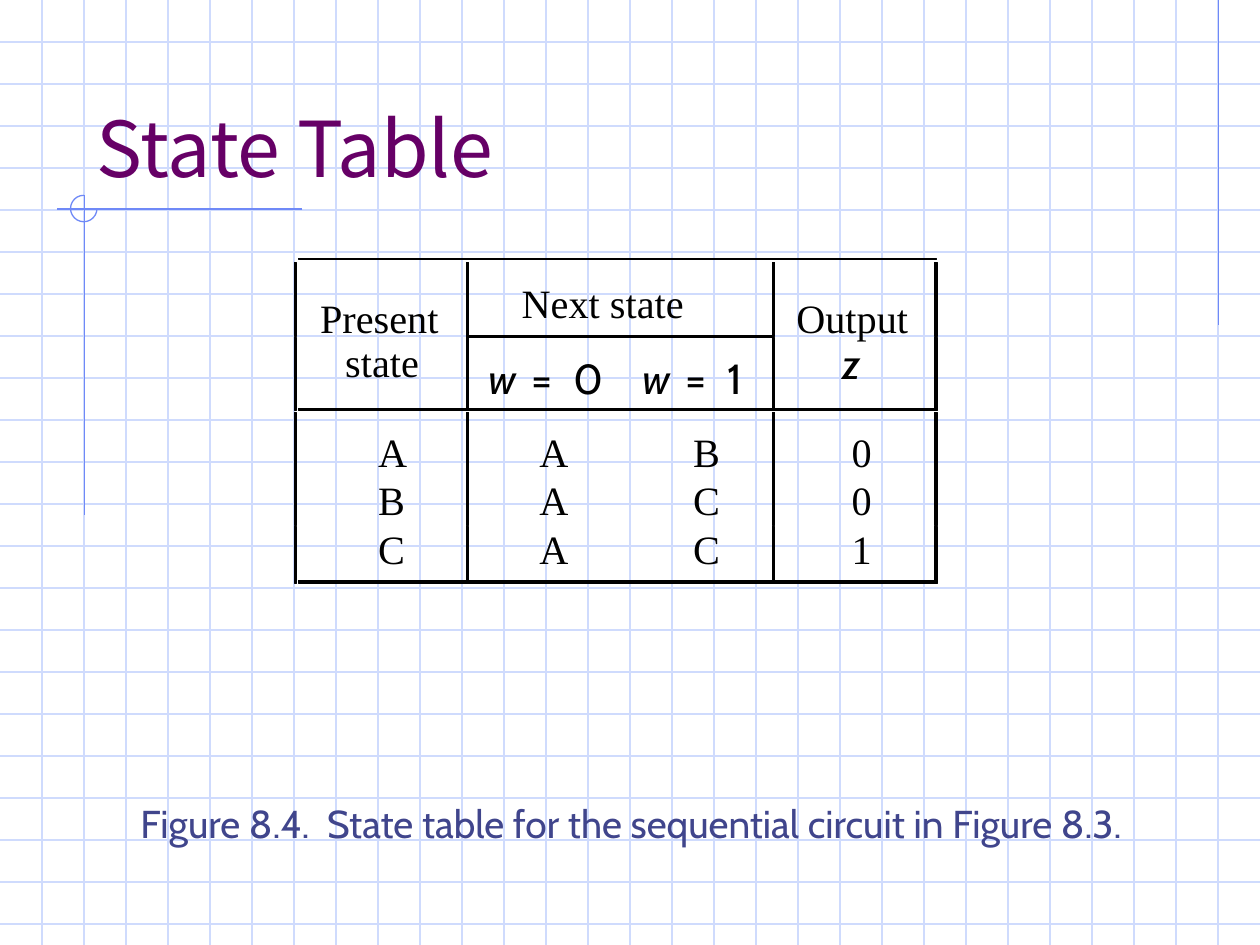
"""Build the State Table slide on a squared-paper background."""
from typing import NamedTuple

from lxml.etree import SubElement
from pptx import Presentation
from pptx.dml.color import RGBColor
from pptx.enum.shapes import MSO_CONNECTOR as Connector, MSO_SHAPE as Shape
from pptx.enum.text import MSO_ANCHOR as Anchor, PP_ALIGN as Align
from pptx.oxml.ns import qn
from pptx.slide import Slide
from pptx.util import Inches, Pt

GRID_BLUE = RGBColor(0xCF, 0xDB, 0xFD)
ACCENT_BLUE = RGBColor(0x6F, 0x89, 0xF7)
CAPTION_BLUE = RGBColor(0x40, 0x45, 0x8C)
PURPLE = RGBColor(0x66, 0x00, 0x66)
BLACK = RGBColor(0, 0, 0)

WIDTH, HEIGHT = 10, 7.5
SQUARES_PER_INCH = 3
SERIF, SANS, TITLE_FONT = "Times New Roman", "Cabin", "Noto Sans CJK KR"


class Area(NamedTuple):
    left: float
    top: float
    width: float
    height: float


class Style(NamedTuple):
    font: str
    size: float
    color: RGBColor = BLACK
    italic: bool = False


class Label(NamedTuple):
    text: str
    area: Area
    style: Style


WORD = Style(SERIF, 23)
SYMBOL = Style(SANS, 24)
VARIABLE = Style(SANS, 24, italic=True)

HEADINGS = [
    Label("Present", Area(2.54, 2.33, 1.24, 0.38), WORD),
    Label("state", Area(2.74, 2.68, 0.83, 0.38), WORD),
    Label("Next state", Area(4.14, 2.21, 1.62, 0.38), WORD),
    Label("Output", Area(6.32, 2.33, 1.07, 0.38), WORD),
    Label("z", Area(6.69, 2.68, 0.24, 0.4), VARIABLE),
]
INPUTS = [(3.88, "0"), (5.1, "1")]
STATE_LEFTS = [3, 4.28, 5.5, 6.76]
STATE_ROWS = [(3.39, "AAB0"), (3.77, "BAC0"), (4.16, "CAC1")]
COLUMN_RULES = [(2.34, 0.01), (3.7, 0.02), (6.13, 0.02), (7.42, 0.02)]
ROW_SPANS = [(2.08, 0.59), (2.68, 0.58), (3.27, 0.51), (3.78, 0.39), (4.18, 0.45)]
ROW_RULES = [
    Area(2.37, 2.05, 5.06, 0.01),
    Area(3.7, 2.66, 2.44, 0.02),
    Area(2.37, 3.24, 5.06, 0.02),
    Area(2.37, 4.61, 5.06, 0.02),
]


def draw_line(page: Slide, x1: float, y1: float, x2: float, y2: float, color: RGBColor) -> None:
    line = page.shapes.add_connector(
        Connector.STRAIGHT, Inches(x1), Inches(y1), Inches(x2), Inches(y2))
    line.line.color.rgb = color
    line.line.width = Pt(0.75)
    SubElement(line._element.spPr, qn("a:effectLst"))


def draw_background(page: Slide) -> None:
    for step in range(1, int(HEIGHT * SQUARES_PER_INCH) + 1):
        y = step / SQUARES_PER_INCH
        draw_line(page, 0, y, WIDTH, y, GRID_BLUE)
    for step in range(1, WIDTH * SQUARES_PER_INCH):
        x = step / SQUARES_PER_INCH
        draw_line(page, x, 0, x, HEIGHT, GRID_BLUE)
    draw_line(page, 9.67, 0, 9.67, 2.58, ACCENT_BLUE)
    draw_line(page, 2.4, 1.66, 0.45, 1.66, ACCENT_BLUE)
    draw_line(page, 0.67, 1.55, 0.67, 4.09, ACCENT_BLUE)
    arc = page.shapes.add_shape(
        Shape.ARC, Inches(0.56), Inches(1.55), Inches(0.21), Inches(0.21))
    arc.adjustments[0] = 0
    arc.adjustments[1] = 162
    arc.shadow.inherit = False
    arc.fill.background()
    arc.line.color.rgb = ACCENT_BLUE
    arc.line.width = Pt(0.75)


def draw_rule(page: Slide, area: Area) -> None:
    rule = page.shapes.add_shape(Shape.RECTANGLE, *map(Inches, area))
    rule.shadow.inherit = False
    rule.fill.solid()
    rule.fill.fore_color.rgb = BLACK
    rule.line.color.rgb = BLACK
    rule.line.width = Pt(0.5)


def add_text(page: Slide, label: Label, wrap: bool = True):
    box = page.shapes.add_textbox(*map(Inches, label.area))
    frame = box.text_frame
    frame.word_wrap = wrap
    span = frame.paragraphs[0].add_run()
    span.text = label.text
    span.font.name = label.style.font
    span.font.size = Pt(label.style.size)
    span.font.color.rgb = label.style.color
    span.font.italic = label.style.italic
    return frame


def add_entry(page: Slide, label: Label) -> None:
    frame = add_text(page, label, wrap=False)
    frame.margin_left = frame.margin_top = frame.margin_right = frame.margin_bottom = 0


def draw_state_table(page: Slide) -> None:
    for area in ROW_RULES:
        draw_rule(page, area)
    for top, height in ROW_SPANS:
        for left, width in COLUMN_RULES:
            draw_rule(page, Area(left, top, width, height))
    for heading in HEADINGS:
        add_entry(page, heading)
    for left, value in INPUTS:
        add_entry(page, Label("w", Area(left, 2.8, 0.33, 0.4), VARIABLE))
        add_entry(page, Label("=", Area(left + 0.34, 2.8, 0.28, 0.4), SYMBOL))
        add_entry(page, Label(value, Area(left + 0.67, 2.8, 0.28, 0.4), SYMBOL))
    for top, values in STATE_ROWS:
        for left, value in zip(STATE_LEFTS, values):
            add_entry(page, Label(value, Area(left, top, 0.29, 0.38), WORD))


def main() -> None:
    deck = Presentation()
    deck.slide_width, deck.slide_height = Inches(WIDTH), Inches(HEIGHT)
    page = deck.slides.add_slide(deck.slide_layouts[6])
    draw_background(page)
    caption = add_text(page, Label(
        "Figure 8.4.  State table for the sequential circuit in Figure 8.3.",
        Area(0.41, 6.34, 9.2, 0.5), Style(SANS, 22.2, CAPTION_BLUE)))
    caption.paragraphs[0].alignment = Align.CENTER
    caption.paragraphs[0].line_spacing = 0.9
    draw_state_table(page)
    title = add_text(page, Label(
        "State Table", Area(0.67, 0.33, 8.5, 1.25), Style(TITLE_FONT, 44, PURPLE)))
    title.vertical_anchor = Anchor.BOTTOM
    deck.save("out.pptx")


if __name__ == "__main__":
    main()
